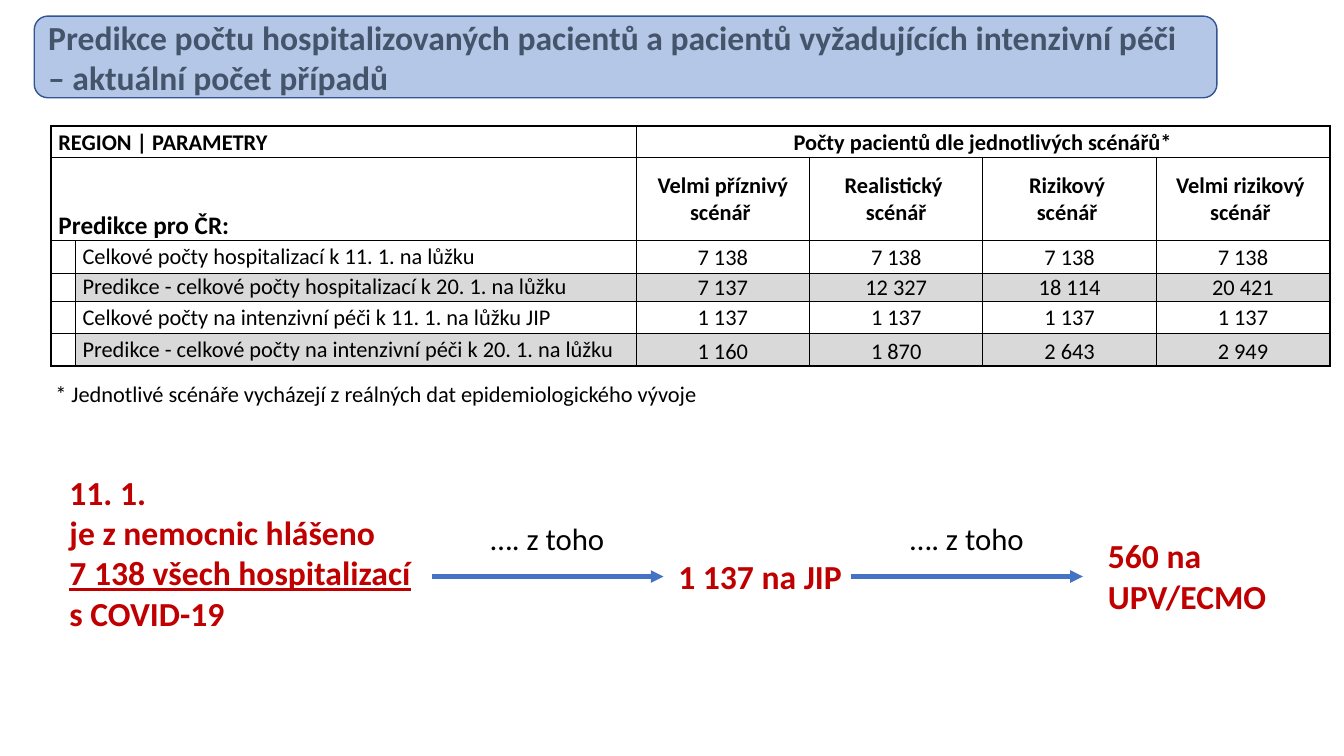
from lxml import etree
from pptx import Presentation
from pptx.dml.color import RGBColor
from pptx.enum.shapes import MSO_CONNECTOR, MSO_SHAPE
from pptx.enum.text import MSO_ANCHOR, MSO_AUTO_SIZE, PP_ALIGN
from pptx.oxml.ns import qn
from pptx.util import Inches, Pt

LEFT, CENTER, JUSTIFY = PP_ALIGN.LEFT, PP_ALIGN.CENTER, PP_ALIGN.JUSTIFY
MIDDLE, BOTTOM = MSO_ANCHOR.MIDDLE, MSO_ANCHOR.BOTTOM
FONT = "Calibri"
COLORS = {"banner": "B4C7E7", "banner edge": "325491", "title": "44546A", "text": "000000",
          "key": "C00000", "arrow": "4472C4", "band": "D9D9D9"}

TITLE = ("Predikce počtu hospitalizovaných pacientů a pacientů vyžadujících intenzivní péči"
         "\v– aktuální počet případů")
FOOTNOTE = "* Jednotlivé scénáře vycházejí z reálných dat epidemiologického vývoje"
REGION, SCENARIOS_HEAD = "REGION | PARAMETRY", "Počty pacientů dle jednotlivých scénářů*"
COUNTRY = "Predikce pro ČR:"
SCENARIOS = ["Velmi příznivý scénář ", "Realistický \n scénář ", "Rizikový \nscénář ",
             "Velmi rizikový \nscénář "]
COUNTS = [
    ("Celkové počty hospitalizací k 11. 1. na lůžku", ["7 138"] * 4),
    ("Predikce - celkové počty hospitalizací k 20. 1. na lůžku",
     ["7 137", "12 327", "18 114", "20 421"]),
    ("Celkové počty na intenzivní péči k 11. 1. na lůžku JIP", ["1 137"] * 4),
    ("Predikce - celkové počty na intenzivní péči k 20. 1. na lůžku",
     ["1 160", "1 870", "2 643", "2 949"]),
]
REPORTED = ["11. 1.", "je z nemocnic hlášeno", "7 138 všech hospitalizací", "s COVID-19"]
OF_WHICH = "…. z toho"
# text, left, top, width, height
FLOW = [("\n".join(REPORTED), 0.59, 4.63, 3.69, 1.72),
        ("1 137 na JIP", 6.63, 5.47, 1.83, 0.5),
        ("560 na UPV/ECMO", 10.89, 5.26, 2.31, 0.91)]
ARROW_STARTS, ARROW_LENGTH, ARROW_Y = (4.28, 8.44), 2.3, 5.72
LABEL_WIDTH, LABEL_TOP = 2.6, 5.08

COLUMNS = [0.21, 5.56] + [1.72] * 4
ROWS = [0.31, 0.83, 0.32, 0.28, 0.32, 0.32]
THICK, THIN = 1.5, 0.75


def rgb(name):
    return RGBColor.from_string(COLORS[name])


def write(frame, text, size, color="text", bold=False, align=LEFT, spacing=None, after=None):
    frame.text = text
    for paragraph in frame.paragraphs:
        paragraph.alignment = align
        if spacing:
            paragraph.line_spacing = spacing
        if after:
            paragraph.space_after = Pt(after)
        for run in paragraph.runs:
            run.font.name, run.font.size, run.font.bold = FONT, Pt(size), bold
            run.font.color.rgb = rgb(color)


def add_text(slide, text, box, size, **style):
    frame = slide.shapes.add_textbox(*map(Inches, box)).text_frame
    frame.word_wrap = True
    frame.auto_size = MSO_AUTO_SIZE.SHAPE_TO_FIT_TEXT
    write(frame, text, size, **style)
    return frame


def add_banner(slide):
    banner = slide.shapes.add_shape(MSO_SHAPE.ROUNDED_RECTANGLE,
                                    *map(Inches, (0.34, 0.16, 11.73, 0.81)))
    banner.shadow.inherit = False
    banner.fill.solid()
    banner.fill.fore_color.rgb = rgb("banner")
    banner.line.color.rgb = rgb("banner edge")
    banner.line.width = Pt(1)
    banner.text_frame.word_wrap = True
    banner.text_frame.vertical_anchor = MIDDLE
    write(banner.text_frame, TITLE, 24, "title", bold=True)


def add_arrow(slide, start):
    arrow = slide.shapes.add_connector(MSO_CONNECTOR.STRAIGHT, Inches(start), Inches(ARROW_Y),
                                       Inches(start + ARROW_LENGTH), Inches(ARROW_Y))
    arrow.line.color.rgb = rgb("arrow")
    arrow.line.width = Pt(3)
    etree.SubElement(arrow.line._get_or_add_ln(), qn("a:tailEnd"), type="triangle")
    etree.SubElement(arrow._element.spPr, qn("a:effectLst"))


def set_borders(cell, widths):
    """Draw the left, right, top and bottom edges with the given widths in points."""
    properties = cell._tc.get_or_add_tcPr()
    for place, (side, width) in enumerate(zip("LRTB", widths)):
        edge = etree.Element(qn("a:ln" + side), w=str(Pt(width)))
        fill = etree.SubElement(edge, qn("a:solidFill"))
        etree.SubElement(fill, qn("a:srgbClr"), val=COLORS["text"])
        properties.insert(place, edge)


def fill_cell(cell, text, size=16, anchor=MIDDLE, inset=0.07, **style):
    cell.vertical_anchor = anchor
    cell.margin_left = cell.margin_right = Inches(inset)
    write(cell.text_frame, text, size, **style)


def add_counts_table(slide):
    table = slide.shapes.add_table(len(ROWS), len(COLUMNS), Inches(0.51), Inches(1.25),
                                   Inches(sum(COLUMNS)), Inches(sum(ROWS))).table
    table.first_row = table.horz_banding = False
    for column, width in zip(table.columns, COLUMNS):
        column.width = Inches(width)
    for row, height in zip(table.rows, ROWS):
        row.height = Inches(height)
    table.cell(0, 0).merge(table.cell(0, 1))
    table.cell(0, 2).merge(table.cell(0, 5))
    table.cell(1, 0).merge(table.cell(1, 1))

    for r in range(len(ROWS)):
        for c in range(len(COLUMNS)):
            cell = table.cell(r, c)
            cell.margin_top = cell.margin_bottom = 0
            if r in (3, 5) and c:
                cell.fill.solid()
                cell.fill.fore_color.rgb = rgb("band")
            else:
                cell.fill.background()
            last = c + (cell.span_width if cell.is_merge_origin else 1) == len(COLUMNS)
            marker_edge = r > 1
            set_borders(cell, [THICK if c == 0 or (c == 1 and marker_edge) else THIN,
                               THICK if last or (c == 0 and marker_edge) else THIN,
                               THICK if r == 0 else THIN,
                               THICK if r == len(ROWS) - 1 else THIN])

    fill_cell(table.cell(0, 0), REGION, bold=True, align=JUSTIFY, spacing=1.07)
    fill_cell(table.cell(0, 2), SCENARIOS_HEAD, bold=True, align=CENTER, spacing=1.07)
    fill_cell(table.cell(1, 0), COUNTRY, 18, BOTTOM, bold=True, spacing=1.07)
    for c, scenario in enumerate(SCENARIOS, 2):
        fill_cell(table.cell(1, c), scenario, bold=True, align=CENTER)
    for r, (label, values) in enumerate(COUNTS, 2):
        marker = table.cell(r, 0).text_frame.paragraphs[0]
        etree.SubElement(marker._p, qn("a:endParaRPr"), sz="1200")
        fill_cell(table.cell(r, 1), label)
        for c, value in enumerate(values, 2):
            fill_cell(table.cell(r, c), value, anchor=BOTTOM if r in (3, 5) else MIDDLE,
                      inset=0.01, align=CENTER)
            table.cell(r, c).margin_top = Inches(0.01)


def main():
    deck = Presentation()
    deck.slide_width, deck.slide_height = Inches(13.33), Inches(7.5)
    slide = deck.slides.add_slide(deck.slide_layouts[6])
    add_text(slide, FOOTNOTE, (0.45, 3.7, 8.96, 0.38), 16, align=JUSTIFY, spacing=1.07, after=8)
    add_banner(slide)
    for text, *box in FLOW:
        frame = add_text(slide, text, box, 24, color="key", bold=True)
        if len(frame.paragraphs) > 1:
            frame.paragraphs[2].runs[0].font.underline = True
    for start in ARROW_STARTS:
        add_arrow(slide, start)
        label_left = start + (ARROW_LENGTH - LABEL_WIDTH) / 2
        add_text(slide, OF_WHICH, (label_left, LABEL_TOP, LABEL_WIDTH, 0.5), 22,
                 align=CENTER, spacing=1.07, after=8)
    add_counts_table(slide)
    deck.save("out.pptx")


if __name__ == "__main__":
    main()
